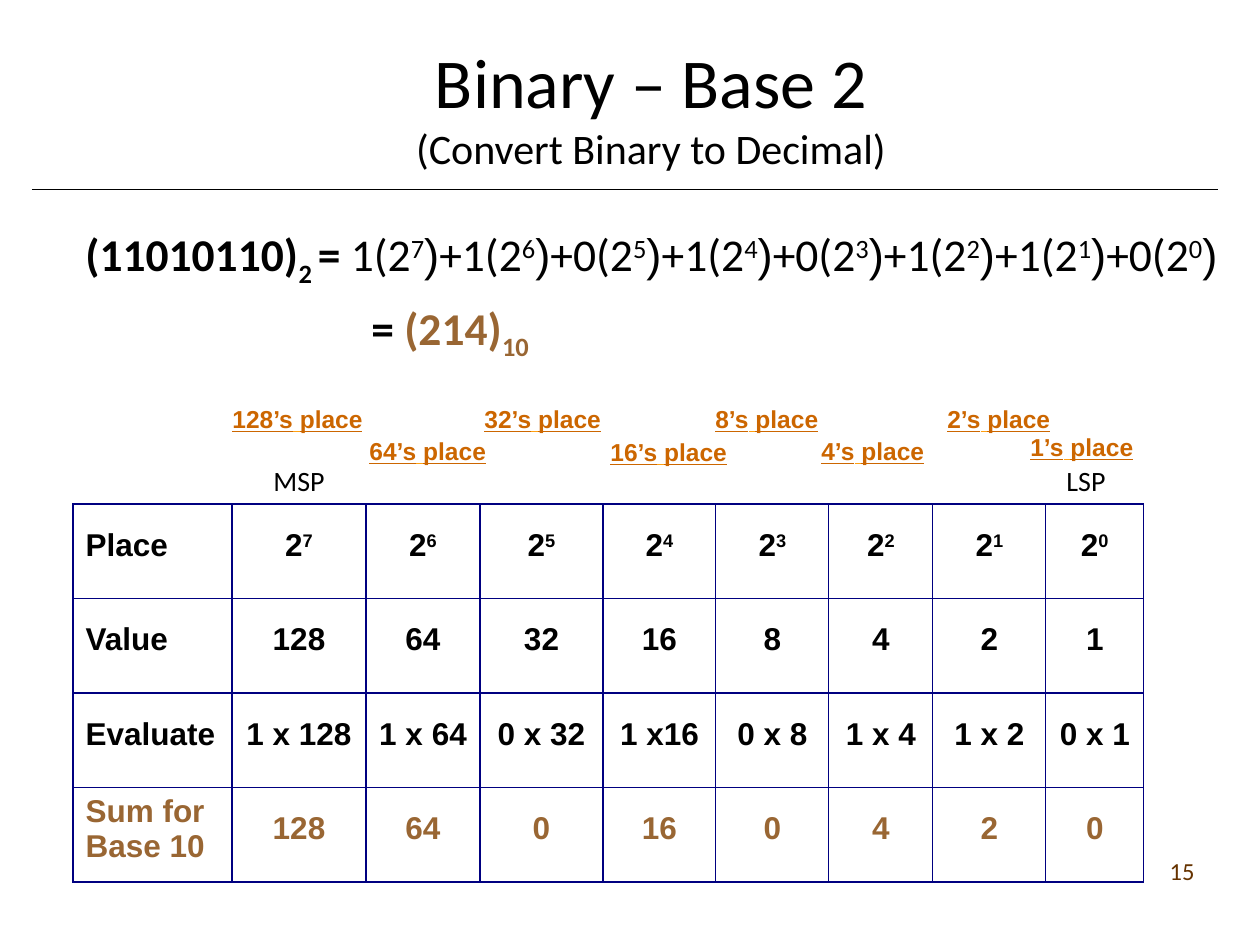
import lxml.etree
import pptx
import pptx.dml.color
import pptx.enum.shapes
import pptx.enum.text
import pptx.oxml
import pptx.oxml.ns
import pptx.util

SCALE = 914400 / 126
BLACK = pptx.dml.color.RGBColor(0x00, 0x00, 0x00)
NAVY = pptx.dml.color.RGBColor(0x00, 0x00, 0x80)
BROWN = pptx.dml.color.RGBColor(0x99, 0x66, 0x33)
DARK = pptx.dml.color.RGBColor(0x66, 0x33, 0x00)
ORANGE = pptx.dml.color.RGBColor(0xCC, 0x66, 0x00)
AMBER = pptx.dml.color.RGBColor(0xFF, 0x9F, 0x11)
SANS = "Calibri"
ARIAL = "Arial"
ALIGN = pptx.enum.text.PP_ALIGN
SUPER = 30
SUB = -25

BITS = "11010110"
WIDTHS = [159, 134, 114, 123, 113, 113, 104, 113, 98]
ROWS = [
    ["Place"] + [""] * 8,
    ["Value", "128", "64", "32", "16", "8", "4", "2", "1"],
    ["Evaluate", "1 x 128", "1 x 64", "0 x 32", "1 x16", "0 x 8", "1 x 4", "1 x 2", "0 x 1"],
    ["Sum for Base 10", "128", "64", "0", "16", "0", "4", "2", "0"],
]
PLACES = [
    ("128", 220, 398, 210), ("64", 357, 430, 158), ("32", 472, 398, 158),
    ("16", 598, 431, 147), ("8", 703, 398, 136), ("4", 809, 430, 136),
    ("2", 935, 398, 136), ("1", 1018, 426, 136),
]


def px(num):
    return pptx.util.Emu(round(num * SCALE))


class Deck:
    def __init__(self):
        self.show = pptx.Presentation()
        self.show.slide_width = px(1260)
        self.show.slide_height = px(945)
        self.slide = self.show.slides.add_slide(self.show.slide_layouts[6])

    def style(self, run, size, color=BLACK, face=SANS, bold=False, line=False, base=0):
        font = run.font
        font.size = pptx.util.Pt(size)
        font.name = face
        font.bold = bold
        font.underline = line
        font.color.rgb = color
        if base:
            font._element.set("baseline", str(base * 1000))

    def fill(self, para, parts, size, align=ALIGN.LEFT, **look):
        para.alignment = align
        for text, extra in parts:
            run = para.add_run()
            run.text = text
            self.style(run, size, **{**look, **extra})

    def box(self, left, top, width, height):
        frame = self.slide.shapes.add_textbox(px(left), px(top), px(width), px(height)).text_frame
        frame.word_wrap = True
        return frame

    def label(self, text, left, top, width, height, size, align, color=BLACK):
        para = self.box(left, top, width, height).paragraphs[0]
        self.fill(para, [(text, {})], size, align, color=color)

    def title(self, head, note):
        frame = self.box(105, 21, 1092, 158)
        frame.vertical_anchor = pptx.enum.text.MSO_ANCHOR.BOTTOM
        para = frame.paragraphs[0]
        para.text = head + "\v" + note
        para.alignment = ALIGN.CENTER
        for run, size in zip(para.runs, (40, 24)):
            self.style(run, size)

    def rule(self, left, right, top):
        line = self.slide.shapes.add_connector(
            pptx.enum.shapes.MSO_CONNECTOR.STRAIGHT, px(left), px(top), px(right), px(top))
        line.line.color.rgb = BLACK
        line.line.width = pptx.util.Pt(0.5)
        lxml.etree.SubElement(line._element.spPr, pptx.oxml.ns.qn("a:effectLst"))

    def sum(self):
        frame = self.box(73, 220, 1197, 90)
        parts = [(f"({BITS})", {"bold": True}), ("2 ", {"bold": True, "base": SUB}),
                 ("= ", {"bold": True})]
        for spot, bit in enumerate(BITS):
            sign = "+" if spot else ""
            parts += [(f"{sign}{bit}(2", {}), (str(7 - spot), {"base": SUPER}),
                      (")", {"face": ARIAL})]
        self.fill(frame.paragraphs[0], parts, 26)
        para = frame.add_paragraph()
        para.space_before = pptx.util.Pt(6.5)
        para._p.get_or_add_pPr().set("marL", str(px(286)))
        total = [("= ", {}), ("(214)", {"color": BROWN}), ("10", {"color": BROWN, "base": SUB})]
        self.fill(para, total, 26, bold=True)

    def place(self, num, left, top, width):
        para = self.box(left, top, width, 43).paragraphs[0]
        parts = [(num + "’s", {}), (" ", {"color": AMBER}), ("place", {})]
        self.fill(para, parts, 14, color=ORANGE, face=ARIAL, bold=True, line=True)

    def edge(self, cell):
        props = cell._tc.get_or_add_tcPr()
        for side in ("lnL", "lnR", "lnT", "lnB"):
            props.append(pptx.oxml.parse_xml(
                f'<a:{side} {pptx.oxml.ns.nsdecls("a")} w="9525"><a:solidFill>'
                f'<a:srgbClr val="{NAVY}"/></a:solidFill></a:{side}>'))
        cell.fill.background()

    def grid(self):
        table = self.slide.shapes.add_table(
            len(ROWS), len(WIDTHS), px(73), px(504), px(sum(WIDTHS)), px(378)).table
        table.first_row = False
        table.horz_banding = False
        for col, width in zip(table.columns, WIDTHS):
            col.width = px(width)
        for row, texts in enumerate(ROWS):
            last = row == len(ROWS) - 1
            for col, text in enumerate(texts):
                cell = table.cell(row, col)
                self.edge(cell)
                para = cell.text_frame.paragraphs[0]
                if col or not last:
                    para.line_spacing = 1.5
                parts = [(text, {})] if text else [("2", {}), (str(8 - col), {"base": SUPER})]
                self.fill(para, parts, 18, ALIGN.CENTER if col else ALIGN.LEFT,
                          color=BROWN if last else BLACK, face=ARIAL, bold=True)


def main():
    deck = Deck()
    deck.rule(32, 1218, 189)
    deck.title("Binary – Base 2", "(Convert Binary to Decimal)")
    deck.grid()
    deck.sum()
    deck.label("15", 945, 850, 262, 63, 14, ALIGN.RIGHT, DARK)
    for spot in PLACES:
        deck.place(*spot)
    for text, left in (("MSP", 231), ("LSP", 1018)):
        deck.label(text, left, 457, 136, 47, 16, ALIGN.CENTER)
    deck.show.save("out.pptx")


if __name__ == "__main__":
    main()
